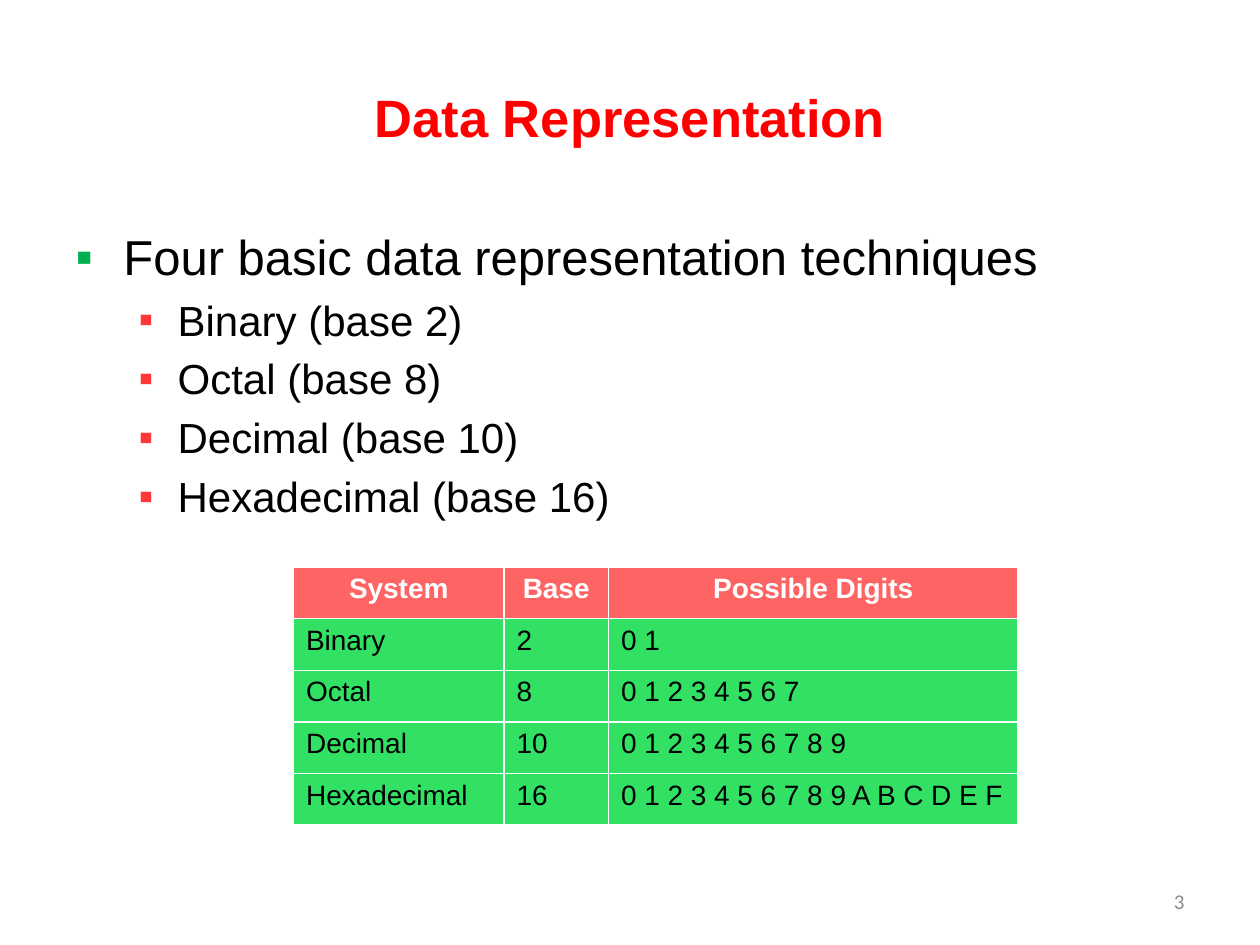
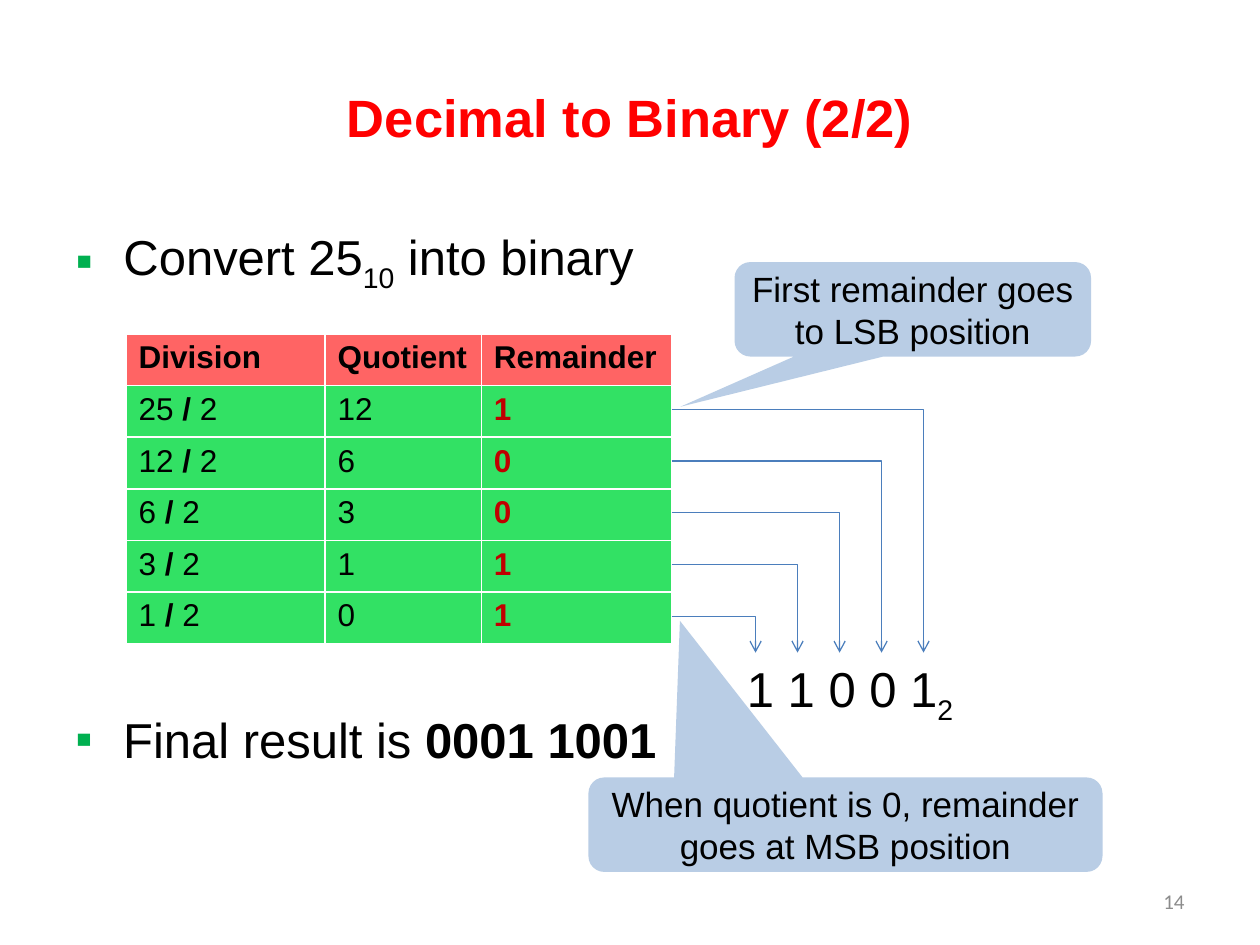
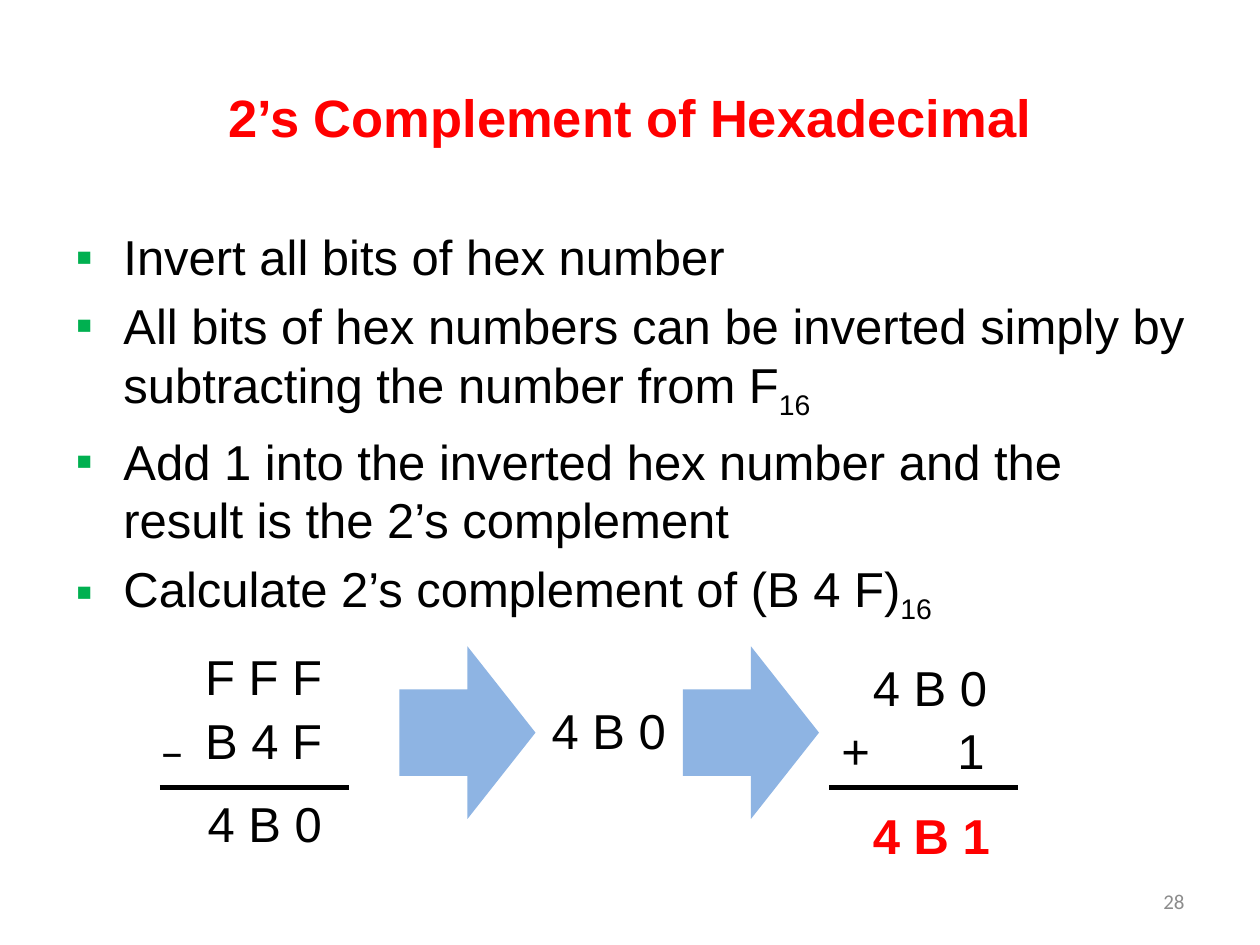
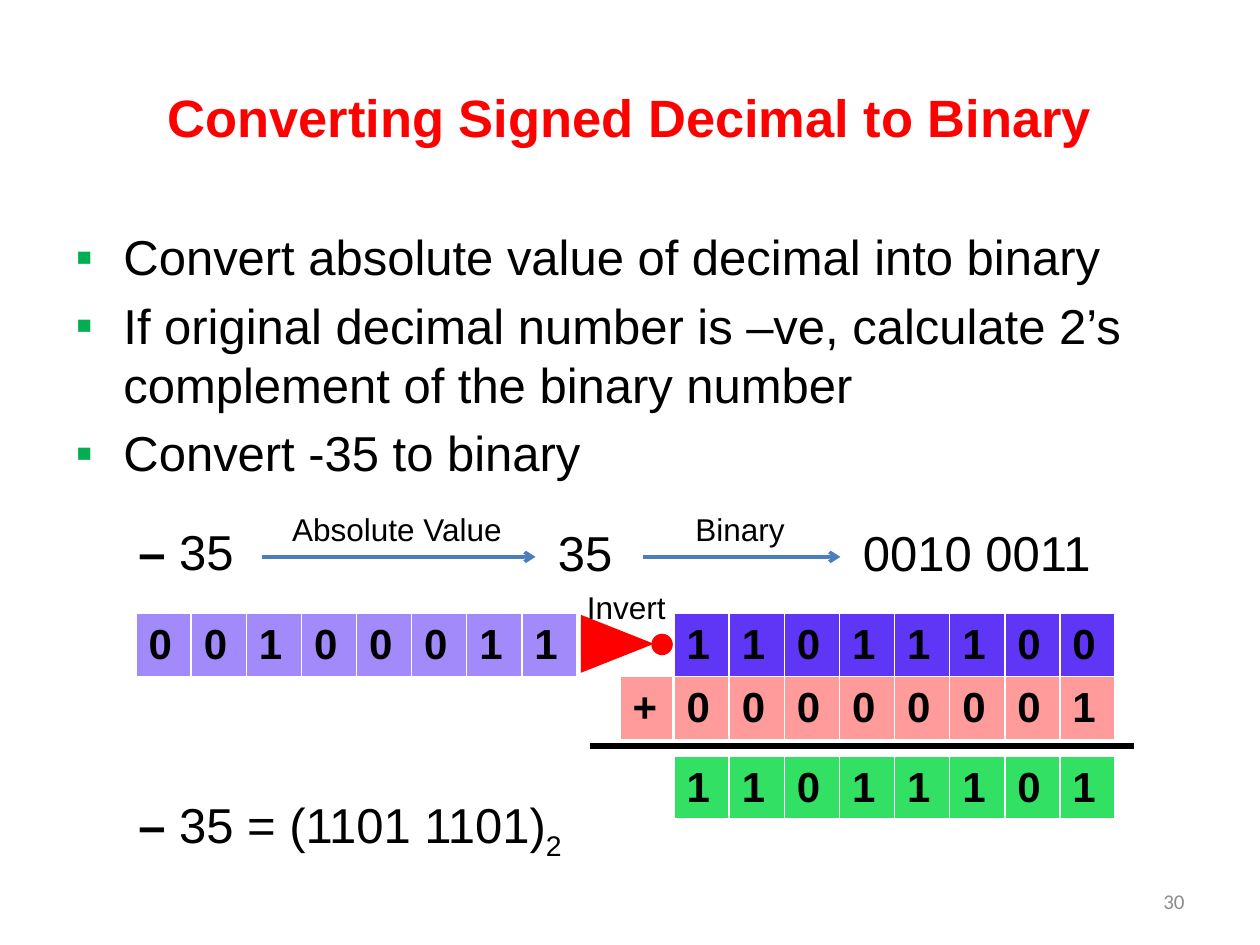
from lxml.etree import SubElement
from pptx import Presentation
from pptx.dml.color import RGBColor
from pptx.enum.shapes import MSO_CONNECTOR, MSO_SHAPE
from pptx.enum.text import MSO_ANCHOR, MSO_AUTO_SIZE, PP_ALIGN
from pptx.oxml.ns import qn
from pptx.util import Inches, Pt

COLORS = {
    "title": "FF0000", "text": "000000", "white": "FFFFFF", "number": "8C8C8C",
    "bullet": "00B050", "sub_bullet": "FF3737", "red": "FF0000", "digit": "C00000",
    "header": "FF6464", "green": "32E164", "callout": "B9CDE5", "arrow": "8EB4E3",
    "connector": "4B7EBC", "lilac": "A28AFA", "violet": "5F36F6", "pink": "FF9B9B",
}
BASE = {"name": "Arial", "size": Pt(28), "color": "text"}
BOLD = {"bold": True}
SUBSCRIPT = {"baseline": "-25000"}

# Per list level: left indent, hanging indent, size, bullet colour
LEVELS = [(0.38, 0.38, 28, "bullet"), (0.81, 0.31, 24, "sub_bullet")]


def rgb(name):
    return RGBColor.from_string(COLORS[name])


def box(left, top, width, height):
    return [Inches(value) for value in (left, top, width, height)]


class Deck:
    """Holds the shared style and the current slide."""

    def __init__(self):
        self.presentation = Presentation()
        self.presentation.slide_width = Inches(10)
        self.presentation.slide_height = Inches(7.5)
        self.slide = None

    # Text
    def add_runs(self, paragraph, content, **style):
        """Content is a string or a list of strings and (string, format) pairs."""
        for part in [content] if isinstance(content, str) else content:
            text, extra = (part, {}) if isinstance(part, str) else part
            run = paragraph.add_run()
            run.text = text
            for key, value in {**BASE, **style, **extra}.items():
                if key == "color":
                    run.font.color.rgb = rgb(value)
                elif key == "baseline":
                    run.font._element.set("baseline", value)
                else:
                    setattr(run.font, key, value)

    def fill_list(self, shape, items):
        """Items are (level, content) pairs."""
        frame = shape.text_frame
        frame.word_wrap = True
        frame.auto_size = MSO_AUTO_SIZE.NONE
        for index, (level, content) in enumerate(items):
            paragraph = frame.add_paragraph() if index else frame.paragraphs[0]
            paragraph.level = level
            if index == 0:
                paragraph.space_before = Pt(0)
            left, hanging, size, color = LEVELS[level]
            properties = paragraph._p.get_or_add_pPr()
            properties.set("marL", str(Inches(left)))
            properties.set("indent", str(-Inches(hanging)))
            bullet_color = SubElement(properties, qn("a:buClr"))
            SubElement(bullet_color, qn("a:srgbClr"), val=COLORS[color])
            SubElement(properties, qn("a:buFont"), typeface="Arial")
            SubElement(properties, qn("a:buChar"), char="▪")
            self.add_runs(paragraph, content, size=Pt(size))

    def label(self, left, top, width, content, height=0.57, **style):
        shape = self.slide.shapes.add_textbox(*box(left, top, width, height))
        shape.text_frame.word_wrap = False
        shape.text_frame.auto_size = MSO_AUTO_SIZE.SHAPE_TO_FIT_TEXT
        self.add_runs(shape.text_frame.paragraphs[0], content, **style)

    def small_label(self, left, top, width, content):
        self.label(left, top, width, content, height=0.4, size=Pt(18))

    # Slide frame
    def start(self, title, items, number, body_height=4.95):
        layout = self.presentation.slide_layouts[1]
        self.slide = self.presentation.slides.add_slide(layout)
        heading, body = self.slide.placeholders
        places = ((heading, (0.5, 0.3, 9, 1.25)), (body, (0.5, 1.75, 9, body_height)))
        for shape, place in places:
            shape.left, shape.top, shape.width, shape.height = box(*place)
        heading.text_frame.auto_size = MSO_AUTO_SIZE.NONE
        heading.text_frame.vertical_anchor = MSO_ANCHOR.MIDDLE
        paragraph = heading.text_frame.paragraphs[0]
        paragraph.alignment = PP_ALIGN.CENTER
        self.add_runs(paragraph, title, size=Pt(30), color="title", bold=True)
        self.fill_list(body, items)
        self.page_number(number)

    def page_number(self, number):
        shape = self.slide.shapes.add_textbox(*box(7.17, 6.95, 2.33, 0.4))
        shape.text_frame.word_wrap = True
        shape.text_frame.vertical_anchor = MSO_ANCHOR.MIDDLE
        paragraph = shape.text_frame.paragraphs[0]
        paragraph.alignment = PP_ALIGN.RIGHT
        self.add_runs(paragraph, str(number), name="Calibri", size=Pt(12), color="number")

    def list_box(self, place, items):
        self.fill_list(self.slide.shapes.add_textbox(*box(*place)), items)

    # Tables
    def new_table(self, left, top, widths, row_count, row_height):
        place = box(left, top, sum(widths), row_count * row_height)
        table = self.slide.shapes.add_table(row_count, len(widths), *place).table
        table.horz_banding = False
        for column, width in zip(table.columns, widths):
            column.width = Inches(width)
        return table

    def fill_cell(self, cell, fill, content, alignment=None, **style):
        cell.fill.solid()
        cell.fill.fore_color.rgb = rgb(fill)
        paragraph = cell.text_frame.paragraphs[0]
        paragraph.alignment = alignment
        self.add_runs(paragraph, content, **style)

    def data_table(self, left, top, widths, rows, size, header_color, header_alignment=None):
        table = self.new_table(left, top, widths, len(rows), 0.41)
        for row_index, row in enumerate(rows):
            for column_index, content in enumerate(row):
                cell = table.cell(row_index, column_index)
                if row_index == 0:
                    self.fill_cell(cell, "header", content, header_alignment,
                                   size=Pt(size), color=header_color, bold=True)
                else:
                    self.fill_cell(cell, "green", content, size=Pt(size))

    def bit_row(self, left, top, bits, fill, cell_width=3.5 / 8):
        table = self.new_table(left, top, [cell_width] * len(bits), 1, 0.5)
        for cell, bit in zip(table.rows[0].cells, bits):
            cell.vertical_anchor = MSO_ANCHOR.MIDDLE
            self.fill_cell(cell, fill, bit, size=Pt(24), bold=True)

    # Shapes and lines
    def shape(self, kind, place, fill, parent=None, rotation=0):
        shapes = (parent or self.slide).shapes
        shape = shapes.add_shape(kind, *box(*place))
        shape.shadow.inherit = False
        shape.fill.solid()
        shape.fill.fore_color.rgb = rgb(fill)
        shape.line.fill.background()
        shape.rotation = rotation
        return shape

    def callout(self, place, pointer, text):
        shape = self.shape(MSO_SHAPE.ROUNDED_RECTANGULAR_CALLOUT, place, "callout")
        for index, value in enumerate((*pointer, 0.167)):
            shape.adjustments[index] = value
        shape.text_frame.word_wrap = True
        shape.text_frame.vertical_anchor = MSO_ANCHOR.MIDDLE
        paragraph = shape.text_frame.paragraphs[0]
        paragraph.alignment = PP_ALIGN.CENTER
        self.add_runs(paragraph, text, size=Pt(20))

    def line(self, start, end, color="text", width=3, arrow=False, elbow=False):
        kind = MSO_CONNECTOR.ELBOW if elbow else MSO_CONNECTOR.STRAIGHT
        ends = [Inches(value) for value in (*start, *end)]
        connector = self.slide.shapes.add_connector(kind, *ends)
        connector.line.color.rgb = rgb(color)
        connector.line.width = Pt(width)
        properties = connector._element.spPr
        if arrow:
            SubElement(properties.find(qn("a:ln")), qn("a:tailEnd"), type="arrow")
        if elbow:  # turn at the far end
            guides = properties.find(qn("a:prstGeom")).find(qn("a:avLst"))
            SubElement(guides, qn("a:gd"), name="adj1", fmla="val 100000")
        SubElement(properties, qn("a:effectLst"))


def data_representation(deck):
    systems = [("Binary", "2", "0 1"), ("Octal", "8", "0 1 2 3 4 5 6 7"),
               ("Decimal", "10", "0 1 2 3 4 5 6 7 8 9"),
               ("Hexadecimal", "16", "0 1 2 3 4 5 6 7 8 9 A B C D E F")]
    items = [(0, "Four basic data representation techniques")]
    items += [(1, f"{name} (base {base})") for name, base, _ in systems]
    deck.start("Data Representation", items, 3, body_height=2.75)
    deck.data_table(2.33, 4.5, (1.67, 0.83, 3.25),
                    [("System", "Base", "Possible Digits"), *systems],
                    16, "white", PP_ALIGN.CENTER)


def decimal_to_binary(deck):
    items = [(0, ["Convert 25", ("10", SUBSCRIPT), " into binary"])]
    deck.start("Decimal to Binary (2/2)", items, 14, body_height=0.75)

    # Repeated division by two
    rows = [("Division", "Quotient", "Remainder")]
    number = 25
    while number:
        quotient, remainder = divmod(number, 2)
        rows.append(([f"{number} ", ("/", BOLD), " 2"], str(quotient),
                     [(str(remainder), {"color": "digit", "bold": True})]))
        number = quotient
    deck.data_table(1, 2.65, (1.58, 1.24, 1.51), rows, 18, "text")

    # Each remainder leads to its binary digit
    deck.label(5.83, 5.18, 1.95, ["1 1 0 0 1", ("2", SUBSCRIPT)])
    for index in range(5):
        deck.line((5.33, 3.25 + index * 0.41), (7.33 - index / 3, 5.18),
                  "connector", 0.75, arrow=True, elbow=True)

    deck.list_box((0.5, 5.58, 9, 0.75), [(0, ["Final result is ", ("0001 1001", BOLD)])])
    deck.callout((5.83, 2.08, 2.83, 0.75), (-0.652, 1.031),
                 "First remainder goes to LSB position")
    deck.callout((4.67, 6.17, 4.08, 0.75), (-0.322, -2.158),
                 "When quotient is 0, remainder goes at MSB position")


def hexadecimal_complement(deck):
    deck.start("2’s Complement of Hexadecimal", [
        (0, "Invert all bits of hex number"),
        (0, ["All bits of hex numbers can be inverted simply by subtracting "
             "the number from F", ("16", SUBSCRIPT)]),
        (0, "Add 1 into the inverted hex number and the result is the 2’s complement"),
        (0, ["Calculate 2’s complement of (B 4 F)", ("16", SUBSCRIPT)]),
    ], 28)

    # Arrows between the steps and rules under the sums
    for left in (3.17, 5.42):
        deck.shape(MSO_SHAPE.RIGHT_ARROW, (left, 5.13, 1.08, 1.37), "arrow")
    for left in (1.27, 6.58):
        deck.line((left, 6.25), (left + 1.5, 6.25))

    # Subtraction, inverted number, addition
    deck.label(1.53, 5.08, 1.14, "F F F")
    deck.label(1.53, 5.59, 1.14, "B 4 F")
    deck.label(1.17, 5.67, 0.4, "–", name="Calibri")
    deck.label(1.55, 6.25, 1.12, "4 B 0")
    deck.label(4.28, 5.51, 1.12, "4 B 0")
    deck.label(6.83, 5.17, 1.12, "4 B 0")
    deck.label(7.5, 5.67, 0.42, "1")
    deck.label(6.58, 5.67, 0.43, "+")
    deck.label(6.83, 6.34, 1.14, "4 B 1", color="red", bold=True)


def signed_decimal_to_binary(deck):
    deck.start("Converting Signed Decimal to Binary", [
        (0, "Convert absolute value of decimal into binary"),
        (0, "If original decimal number is –ve, calculate 2’s complement "
            "of the binary number"),
        (0, "Convert -35 to binary"),
    ], 30)

    # From the signed number to its binary value
    deck.label(1, 4.09, 0.97, [("– ", BOLD), "35"])
    deck.label(4.33, 4.1, 0.64, "35")
    deck.label(6.75, 4.1, 2.03, "0010 0011")
    for start, end in ((2.08, 4.25), (5.1, 6.67)):
        deck.line((start, 4.42), (end, 4.42), "connector", 2, arrow=True)
    deck.small_label(2.22, 4, 1.88, "Absolute Value")
    deck.small_label(5.42, 4, 0.92, "Binary")

    # Invert and add one
    deck.bit_row(1.08, 4.87, "00100011", "lilac")
    deck.bit_row(5.35, 4.87, "11011100", "violet")
    deck.bit_row(4.92, 5.37, "+", "pink", cell_width=0.42)
    deck.bit_row(5.35, 6, "11011101", "green")
    deck.bit_row(5.35, 5.37, "00000001", "pink")
    deck.line((4.68, 5.92), (9, 5.92))
    inverter = deck.slide.shapes.add_group_shape()
    deck.shape(MSO_SHAPE.ISOSCELES_TRIANGLE, (4.67, 4.82, 0.46, 0.58), "red", inverter, 90)
    deck.shape(MSO_SHAPE.OVAL, (5.17, 5.03, 0.17, 0.17), "red", inverter)

    deck.label(1, 6.26, 3.63, [("– ", BOLD), "35 = (1101 1101)", ("2", SUBSCRIPT)])
    deck.small_label(4.56, 4.62, 0.83, "Invert")


def main():
    deck = Deck()
    data_representation(deck)
    decimal_to_binary(deck)
    hexadecimal_complement(deck)
    signed_decimal_to_binary(deck)
    deck.presentation.save("out.pptx")


if __name__ == "__main__":
    main()
